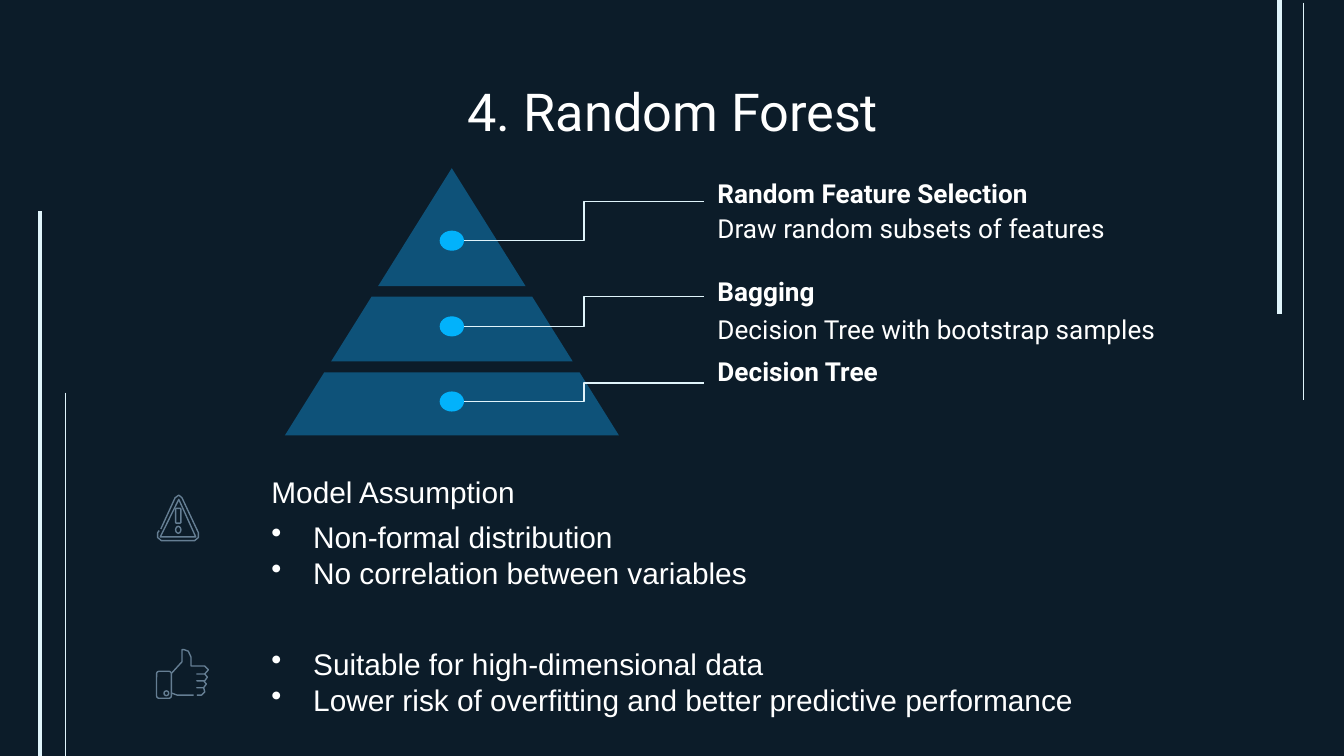
"""Build the Random Forest slide: a three-tier pyramid above the model notes."""
from lxml import etree
from pptx import Presentation
from pptx import util as u
from pptx.dml.color import RGBColor
from pptx.enum import shapes as s, text as t
from pptx.oxml import ns

NIGHT = RGBColor(0x0C, 0x1C, 0x29)
PALE = RGBColor(0xE0, 0xF4, 0xFB)
WHITE = RGBColor(0xFF, 0xFF, 0xFF)
BLUE = RGBColor(0x0E, 0x52, 0x79)
BRIGHT = RGBColor(0x02, 0xB2, 0xFB)
SLATE = RGBColor(0x65, 0x7E, 0x93)

TITLE = "4. Random Forest"
RULES = [(24.18, 0, 5.94, 2.25), (24.64, 0.05, 7.57, 0.75),
         (0.76, 3.99, 14.29, 2.25), (1.24, 7.42, 14.29, 0.75)]
TIERS = [
    {"band": (3.18, 5.41), "dot": 4.55, "head": "Random Feature Selection",
     "box": (3.43, 0.76), "note": "Draw random subsets of features", "top": 3.89},
    {"band": (5.61, 6.83), "dot": 6.17, "head": "Bagging",
     "box": (5.18, 0.86), "note": "Decision Tree with bootstrap samples", "top": 5.79},
    {"band": (7.04, 8.23), "dot": 7.59, "head": "Decision Tree",
     "box": (6.91, 0.66)},
]
LISTS = [
    ((4.88, 9.55, 16.41, 1.96),
     ["Non-formal distribution", "No correlation between variables"]),
    ((4.88, 11.96, 17.04, 1.8),
     ["Suitable for high-dimensional data",
      "Lower risk of overfitting and better predictive performance"]),
]
PATHS = [
    ([(3.04, 10), (3.31, 9.41), (3.38, 9.36), (3.44, 9.41), (3.75, 10.07),
      (3.75, 10.16), (3.68, 10.22), (3.05, 10.22), (2.98, 10.16),
      (2.98, 10.07), (3.01, 10.03)], False),
    ([(3.38, 9.44), (3.7, 10.15), (3.03, 10.15)], True),
    ([(3.24, 12.73), (3.44, 12.51), (3.44, 12.28), (3.48, 12.28), (3.56, 12.31),
      (3.61, 12.42), (3.61, 12.59), (3.87, 12.59), (3.94, 12.66), (3.87, 12.74),
      (3.72, 12.74), (3.87, 12.74), (3.92, 12.8), (3.87, 12.87), (3.72, 12.87),
      (3.85, 12.87), (3.9, 12.93), (3.85, 13), (3.72, 13), (3.85, 13),
      (3.87, 13.08), (3.81, 13.14), (3.72, 13.14)], False),
    ([(3.24, 13.1), (3.35, 13.14), (3.66, 13.14)], False),
]
OVAL = s.MSO_SHAPE.OVAL
ROUND = s.MSO_SHAPE.ROUNDED_RECTANGLE
MARKS = [(ROUND, (3.32, 9.61, 0.1, 0.28)), (OVAL, (3.32, 9.95, 0.1, 0.13)),
         (ROUND, (2.96, 12.69, 0.28, 0.51)), (OVAL, (3.1, 13.06, 0.09, 0.09))]
APEX, SLOPE = (8.54, 3.18), 0.625
DOT = (0.46, 0.38)
LEFT, WIDE = 13.31, 11.8

deck = Presentation()
deck.slide_width, deck.slide_height = u.Cm(25.4), u.Cm(14.29)
slide = deck.slides.add_slide(deck.slide_layouts[5])
slide.background.fill.solid()
slide.background.fill.fore_color.rgb = NIGHT


def place(box):
    return [u.Cm(n) for n in box]


def write(shape, lines, size=14, face="Roboto", bold=False, pad=0.25,
          anchor=t.MSO_ANCHOR.TOP, align=t.PP_ALIGN.LEFT, bullet=False):
    frame = shape.text_frame
    frame.word_wrap = True
    frame.auto_size = t.MSO_AUTO_SIZE.NONE
    frame.vertical_anchor = anchor
    frame.margin_left = frame.margin_right = u.Cm(0.25)
    frame.margin_top = frame.margin_bottom = u.Cm(pad)
    frame.text = "\n".join(lines)
    for para in frame.paragraphs:
        para.alignment = align
        font = para.runs[0].font
        font.size, font.name, font.bold = u.Pt(size), face, bold
        font.color.rgb = WHITE
        if bullet:
            props = para._p.get_or_add_pPr()
            props.set("marL", str(u.Cm(0.79)))
            props.set("indent", str(-u.Cm(0.79)))
            etree.SubElement(props, ns.qn("a:buChar")).set("char", "•")
    return shape


def label(box, lines, **form):
    return write(slide.shapes.add_textbox(*place(box)), lines, **form)


def paint(shape, fill=None, line=None):
    shape.shadow.inherit = False
    if fill:
        shape.fill.solid()
        shape.fill.fore_color.rgb = fill
    else:
        shape.fill.background()
    if line:
        shape.line.color.rgb = line
        shape.line.width = u.Pt(0.75)
    else:
        shape.line.fill.background()


def trace(points, close=True, **look):
    first, *rest = [place(p) for p in points]
    pen = slide.shapes.build_freeform(*first)
    pen.add_line_segments(rest, close=close)
    paint(pen.convert_to_shape(), **look)


def join(kind, ends, width=0.75):
    wire = slide.shapes.add_connector(kind, *place(ends))
    wire.line.color.rgb = PALE
    wire.line.width = u.Pt(width)
    etree.SubElement(wire._element.spPr, ns.qn("a:effectLst"))
    return wire


def main():
    for x, top, end, width in RULES:
        join(s.MSO_CONNECTOR.STRAIGHT, (x, top, x, end), width)

    title = slide.shapes.title
    title.left, title.top, title.width, title.height = place((2.01, 1.24, 21.41, 1.6))
    write(title, [TITLE], size=28, align=t.PP_ALIGN.CENTER)

    for points, close in PATHS:
        trace(points, close, line=SLATE)
    for kind, box in MARKS:
        mark = slide.shapes.add_shape(kind, *place(box))
        paint(mark, line=SLATE)

    label((4.88, 8.84, 6.53, 1.04), ["Model Assumption"], size=16, face="Arial",
          anchor=t.MSO_ANCHOR.BOTTOM)
    for box, lines in LISTS:
        label(box, lines, size=16, face="Arial", bullet=True)

    mid, peak = APEX
    for tier in TIERS:
        top, base = tier["band"]
        near, far = (SLOPE * (y - peak) for y in (top, base))
        ends = [(mid - far, base), (mid + far, base)]
        brow = [(mid + near, top), (mid - near, top)] if near else [APEX]
        trace(ends + brow, fill=BLUE)

        y, high = tier["box"]
        head = label((LEFT, y, WIDE, high), [tier["head"]], bold=True,
                     anchor=t.MSO_ANCHOR.BOTTOM)
        if "note" in tier:
            label((LEFT, tier["top"], WIDE, 0.86), [tier["note"]], pad=0.13)

        wide, tall = DOT
        dot = slide.shapes.add_shape(
            OVAL, *place((mid - wide / 2, tier["dot"] - tall / 2, wide, tall)))
        paint(dot, fill=BRIGHT)
        wire = join(s.MSO_CONNECTOR.ELBOW,
                    (mid + wide / 2, tier["dot"], LEFT, y + high / 2))
        wire.end_connect(head, 1)

    deck.save("out.pptx")


if __name__ == "__main__":
    main()
